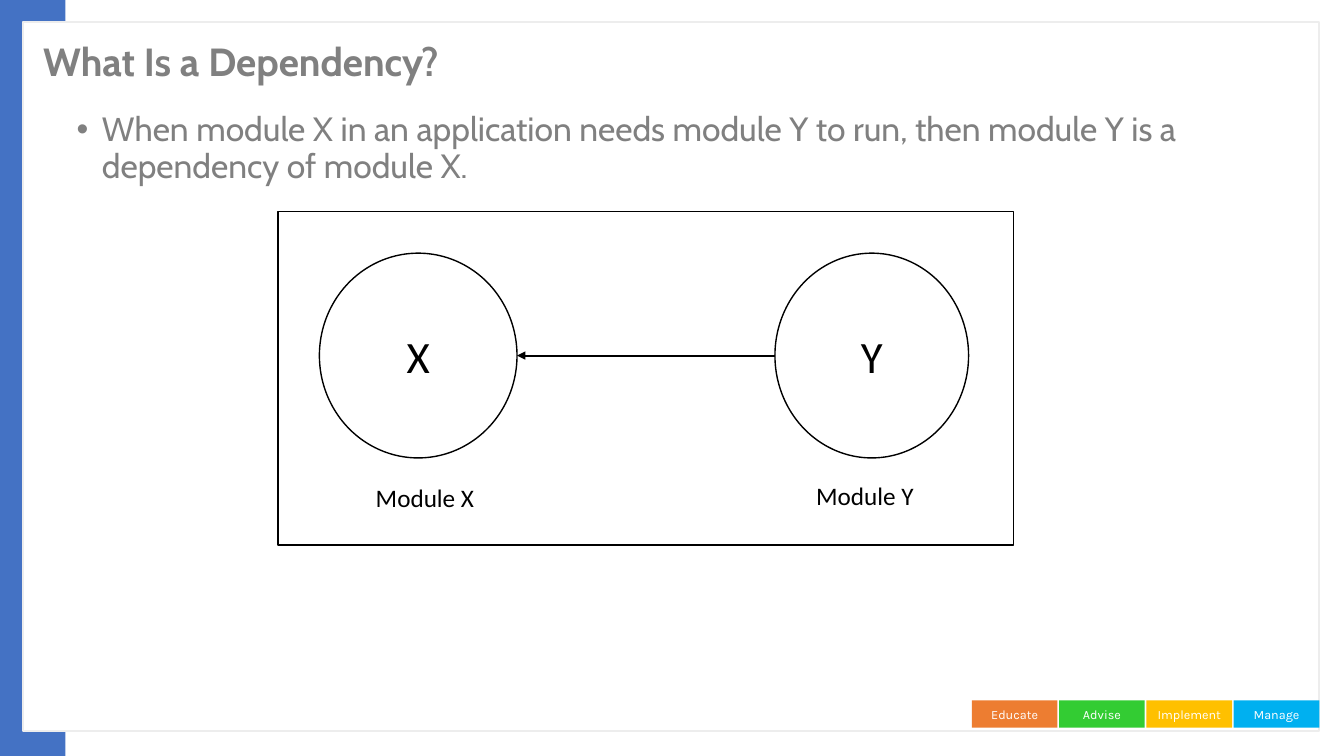
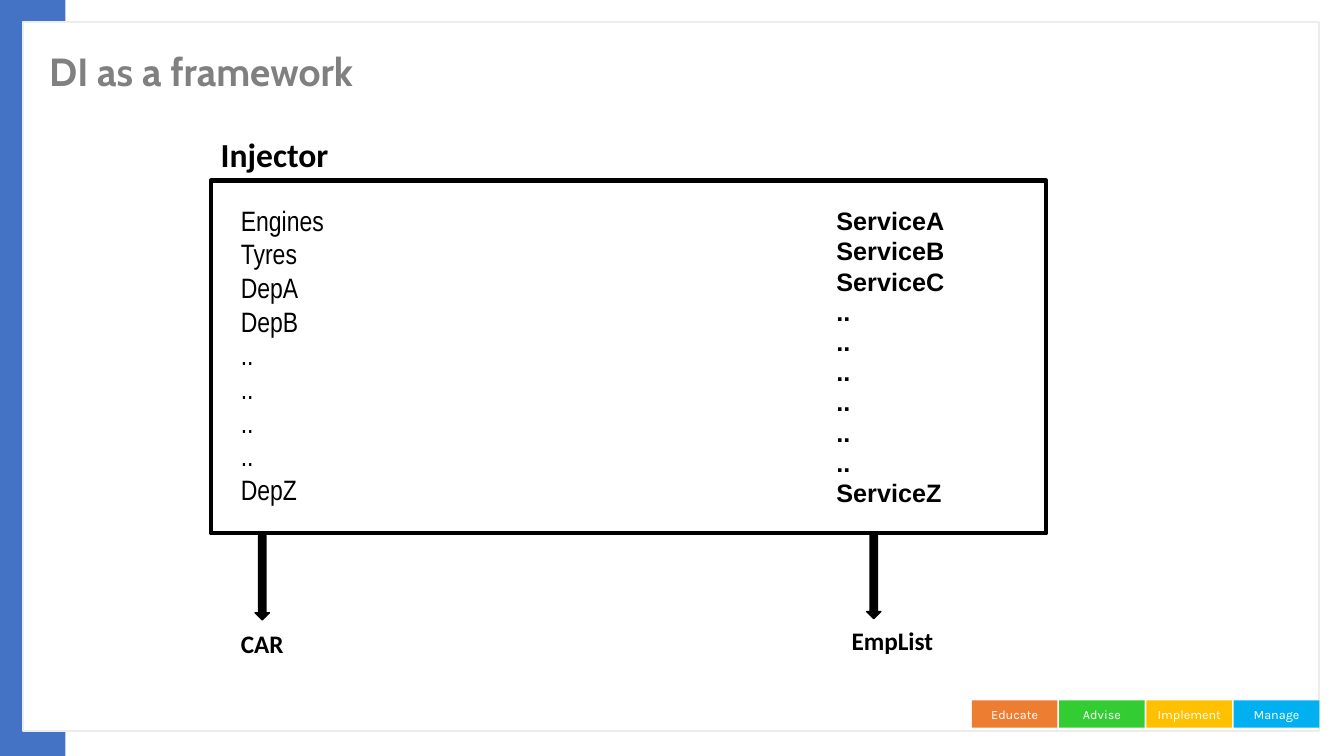
from pptx import Presentation
from pptx.dml.color import RGBColor
from pptx.enum import shapes, text
from pptx.oxml import ns, xmlchemy
from pptx.util import Cm, Pt

KIND = shapes.MSO_SHAPE
MID = text.MSO_ANCHOR.MIDDLE
LEFT, CENTER = text.PP_ALIGN.LEFT, text.PP_ALIGN.CENTER

THEME = {
    "blue": "4472C4", "white": "FFFFFF", "edge": "EDEDED", "black": "000000",
    "title": dict(name="Cabin", size=28, bold=True, color="808080"),
    "body": dict(name="Cabin", size=24, color="808080"),
    "tag": dict(name="Karla", size=9, color="FFFFFF"),
    "node": dict(name="Calibri", size=32, color="000000"),
    "label": dict(name="Calibri", size=18, color="000000"),
    "strong": dict(name="Calibri", size=18, bold=True, color="000000"),
    "head": dict(name="Calibri", size=24, bold=True, color="000000"),
    "deps": dict(name="Arial Narrow", size=20, color="000000"),
    "services": dict(name="Arial", size=18, bold=True, color="000000"),
}

# All boxes are (left, top, width, height) in centimetres.
TAGS = [("Educate", "ED7D31"), ("Advise", "33CC33"),
        ("Implement", "FFC000"), ("Manage", "00B0F0")]
TAG_BOX, TAG_STEP = (24.49, 17.65, 2.16, 0.69), 2.2

MEANING = ("When module X in an application needs module Y to run, "
           "then module Y is a dependency of module X.")
MODULES = [
    ("X", (8.05, 6.38, 4.98, 5.16), (9.22, 12.04, 3.28, 1.02)),
    ("Y", (19.53, 6.38, 4.88, 5.16), (20.32, 11.99, 3.28, 1.02)),
]

COLUMNS = [
    dict(items=["Engines", "Tyres", "DepA", "DepB"] + [".."] * 4 + ["DepZ"],
         style="deps", box=(5.82, 5, 4.9, 7.95), arrow=(6.43, 13.49, 0.36, 2.13),
         user="CAR", spot=(5.82, 15.7, 2.01, 1.02)),
    dict(items=["ServiceA", "ServiceB", "ServiceC"] + [".."] * 6 + ["ServiceZ"],
         style="services", box=(20.83, 5.05, 4.9, 7.95),
         arrow=(21.84, 13.46, 0.36, 2.13),
         user="EmpList", spot=(21.21, 15.62, 2.82, 1.02)),
]


def cms(box):
    return [Cm(n) for n in box]


def write(shape, lines, style, align=LEFT, anchor=text.MSO_ANCHOR.TOP, **form):
    """Fill a shape with one paragraph per line; form holds paragraph settings."""
    frame = shape.text_frame
    frame.word_wrap = True
    frame.vertical_anchor = anchor
    frame.text = "\n".join(lines)
    look = dict(THEME[style])
    color = RGBColor.from_string(look.pop("color"))
    look["size"] = Pt(look["size"])
    for para in frame.paragraphs:
        for key, value in dict(form, alignment=align).items():
            setattr(para, key, value)
        for run in para.runs:
            for key, value in look.items():
                setattr(run.font, key, value)
            run.font.color.rgb = color


def add_text(slide, box, lines, style, **form):
    shape = slide.shapes.add_textbox(*cms(box))
    write(shape, lines, style, **form)
    return shape


def add_shape(slide, kind, box, fill=None, line=None, width=1):
    shape = slide.shapes.add_shape(kind, *cms(box))
    shape.shadow.inherit = False
    for paint, color in ((shape.fill, fill), (shape.line.fill, line)):
        if color:
            paint.solid()
            paint.fore_color.rgb = RGBColor.from_string(color)
        else:
            paint.background()
    if line:
        shape.line.width = Pt(width)
    return shape


def add_arrow(slide, start, end):
    arrow = slide.shapes.add_connector(
        shapes.MSO_CONNECTOR.STRAIGHT, *cms(start + end))
    arrow.line.color.rgb = RGBColor.from_string(THEME["black"])
    arrow.line.width = Pt(1.5)
    tip = xmlchemy.OxmlElement("a:tailEnd")
    tip.set("type", "triangle")
    arrow.line._get_or_add_ln().append(tip)
    arrow._element.spPr.append(xmlchemy.OxmlElement("a:effectLst"))


def add_bullet(shape):
    """Give every paragraph a hanging bullet."""
    for para in shape.text_frame.paragraphs:
        props = para._p.get_or_add_pPr()
        props.set("marL", str(Cm(0.64)))
        props.set("indent", str(-Cm(0.64)))
        for tag, key, value in (("a:buFont", "typeface", "Arial"),
                                ("a:buChar", "char", "•")):
            mark = xmlchemy.OxmlElement(tag)
            mark.set(key, value)
            props.append(mark)


def add_slide(deck, title, left, top):
    """Start a slide with the shared band, frame, tags and title."""
    slide = deck.slides.add_slide(deck.slide_layouts[6])
    add_shape(slide, KIND.RECTANGLE, (0, 0, 1.65, 19.05), THEME["blue"])
    add_shape(slide, KIND.RECTANGLE, (0.58, 0.56, 32.66, 17.86),
              THEME["white"], THEME["edge"])
    x, *rest = TAG_BOX
    for i, (name, color) in enumerate(TAGS):
        tag = add_shape(slide, KIND.RECTANGLE, (x + i * TAG_STEP, *rest), color)
        write(tag, [name], "tag", CENTER, MID)
    add_text(slide, (left, top, 26.21, 2.21), [title], "title",
             anchor=MID, line_spacing=0.9)
    return slide


def add_meaning(deck):
    slide = add_slide(deck, "What Is a Dependency?", 0.84, 0.51)
    body = add_text(slide, (1.68, 2.72, 31.57, 15.9), [MEANING], "body",
                    line_spacing=0.9, space_before=Pt(10))
    add_bullet(body)
    ink = THEME["white"], THEME["black"]
    add_shape(slide, KIND.RECTANGLE, (7.01, 5.33, 18.54, 8.41), *ink)
    for name, ring, spot in MODULES:
        node = add_shape(slide, KIND.OVAL, ring, *ink)
        write(node, [name], "node", CENTER, MID)
        add_text(slide, spot, [f"Module {name}"], "label")
    (_, first, _), (_, second, _) = MODULES
    y = first[1] + first[3] / 2
    add_arrow(slide, (second[0], y), (first[0] + first[2], y))


def add_injector(deck):
    slide = add_slide(deck, "DI as a framework", 0.99, 0.76)
    add_shape(slide, KIND.RECTANGLE, (5.31, 4.55, 21.06, 8.89),
              line=THEME["black"], width=3)
    add_text(slide, (5.31, 3.25, 5.94, 1.27), ["Injector"], "head")
    for col in COLUMNS:
        add_text(slide, col["box"], col["items"], col["style"])
        add_shape(slide, KIND.DOWN_ARROW, col["arrow"],
                  THEME["black"], THEME["black"])
        add_text(slide, col["spot"], [col["user"]], "strong")


def main():
    deck = Presentation()
    deck.slide_width, deck.slide_height = Cm(33.87), Cm(19.05)
    add_meaning(deck)
    add_injector(deck)
    deck.save("out.pptx")


if __name__ == "__main__":
    main()
